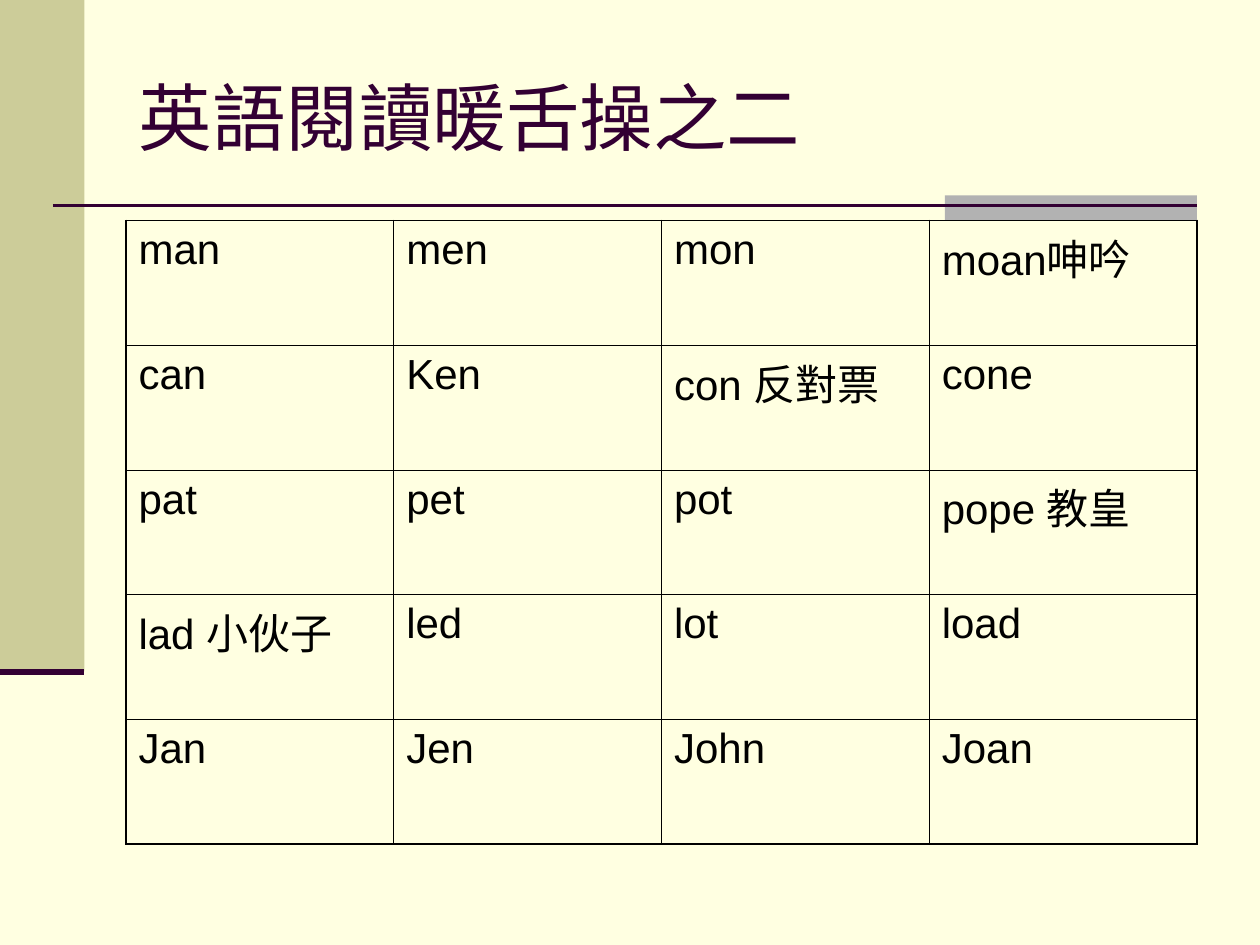
import lxml.etree
import pptx
import pptx.dml.color
import pptx.enum.shapes
import pptx.enum.text
import pptx.oxml.ns
import pptx.util
from pptx.util import Inches

CREAM = pptx.dml.color.RGBColor(0xFF, 0xFF, 0xE1)
OLIVE = pptx.dml.color.RGBColor(0xCC, 0xCC, 0x99)
GRAY = pptx.dml.color.RGBColor(0xB2, 0xB2, 0xB2)
PLUM = pptx.dml.color.RGBColor(0x33, 0x00, 0x33)
BLACK = pptx.dml.color.RGBColor(0x00, 0x00, 0x00)

TITLE_FONT = {"name": "Times New Roman", "size": pptx.util.Pt(42), "bold": False}
WORD_FONT = {"name": "Arial", "size": pptx.util.Pt(24), "bold": False}
OUTER_BORDER = pptx.util.Pt(1.08)
INNER_BORDER = pptx.util.Pt(0.45)

WORDS = [
    ["man", "men", "mon", "moan呻吟"],
    ["can", "Ken", "con 反對票", "cone"],
    ["pat", "pet", "pot", "pope 教皇"],
    ["lad 小伙子", "led", "lot", "load"],
    ["Jan", "Jen", "John", "Joan"],
]


def format_font(font, values, color):
    """Apply format values and a colour to a font."""
    for name, value in values.items():
        setattr(font, name, value)
    font.color.rgb = color


def add_block(slide, box, color):
    """Add a plain filled rectangle."""
    shape = slide.shapes.add_shape(pptx.enum.shapes.MSO_SHAPE.RECTANGLE, *box)
    shape.shadow.inherit = False
    shape.fill.solid()
    shape.fill.fore_color.rgb = color
    shape.line.fill.background()


def add_rule(slide, left, right, top, width):
    """Add a horizontal plum line."""
    connector = slide.shapes.add_connector(
        pptx.enum.shapes.MSO_CONNECTOR.STRAIGHT, left, top, right, top)
    connector.line.color.rgb = PLUM
    connector.line.width = width
    properties = connector._element.spPr
    lxml.etree.SubElement(properties, pptx.oxml.ns.qn("a:effectLst"))


def add_decoration(slide, left, top):
    """Place the side band, the accent block and their rules."""
    band_width, band_height = Inches(0.67), Inches(5.33)
    add_block(slide, (left, top, band_width, band_height), OLIVE)
    add_block(slide, (left + Inches(7.5), top + Inches(1.55), Inches(2), Inches(0.2)), GRAY)
    add_rule(slide, left + Inches(0.42), left + Inches(9.5), top + Inches(1.63),
             pptx.util.Pt(1.5))
    add_rule(slide, left, left + band_width, top + band_height, pptx.util.Pt(3.5))


def place_title(slide, text, left, top, width, height):
    """Move and format the title placeholder."""
    title = slide.shapes.title
    title.left, title.top, title.width, title.height = left, top, width, height
    frame = title.text_frame
    frame.text = text
    frame.word_wrap = True
    frame.auto_size = pptx.enum.text.MSO_AUTO_SIZE.NONE
    frame.vertical_anchor = pptx.enum.text.MSO_ANCHOR.MIDDLE
    paragraph = frame.paragraphs[0]
    paragraph.alignment = pptx.enum.text.PP_ALIGN.LEFT
    format_font(paragraph.runs[0].font, TITLE_FONT, PLUM)


def set_borders(cell, outer_sides):
    """Draw the cell borders, heavier on the outer sides of the table."""
    properties = cell._tc.get_or_add_tcPr()
    for side, is_outer in outer_sides.items():
        width = OUTER_BORDER if is_outer else INNER_BORDER
        line = lxml.etree.SubElement(
            properties, pptx.oxml.ns.qn(f"a:ln{side}"), w=str(int(width)))
        fill = lxml.etree.SubElement(line, pptx.oxml.ns.qn("a:solidFill"))
        lxml.etree.SubElement(fill, pptx.oxml.ns.qn("a:srgbClr"), val=str(BLACK))


def add_word_table(slide, words, left, top, width, height):
    """Add the grid of words with equal rows and columns."""
    row_count, column_count = len(words), len(words[0])
    table = slide.shapes.add_table(
        row_count, column_count, left, top, width, height).table
    table.first_row = table.horz_banding = False
    for row_index, row in enumerate(words):
        for column_index, word in enumerate(row):
            cell = table.cell(row_index, column_index)
            set_borders(cell, {
                "L": column_index == 0,
                "R": column_index == column_count - 1,
                "T": row_index == 0,
                "B": row_index == row_count - 1,
            })
            cell.fill.background()
            cell.text = word
            format_font(cell.text_frame.paragraphs[0].runs[0].font, WORD_FONT, BLACK)


def main():
    """Build and save the presentation."""
    presentation = pptx.Presentation()
    presentation.slide_width, presentation.slide_height = Inches(10), Inches(7.5)
    slide = presentation.slides.add_slide(presentation.slide_layouts[5])
    slide.background.fill.solid()
    slide.background.fill.fore_color.rgb = CREAM
    add_decoration(slide, Inches(0), Inches(0))
    place_title(slide, "英語閱讀暖舌操之二", Inches(1), Inches(0.3), Inches(8.5), Inches(1.25))
    add_word_table(slide, WORDS, Inches(1), Inches(1.75), Inches(8.5), Inches(4.95))
    presentation.save("out.pptx")


if __name__ == "__main__":
    main()
